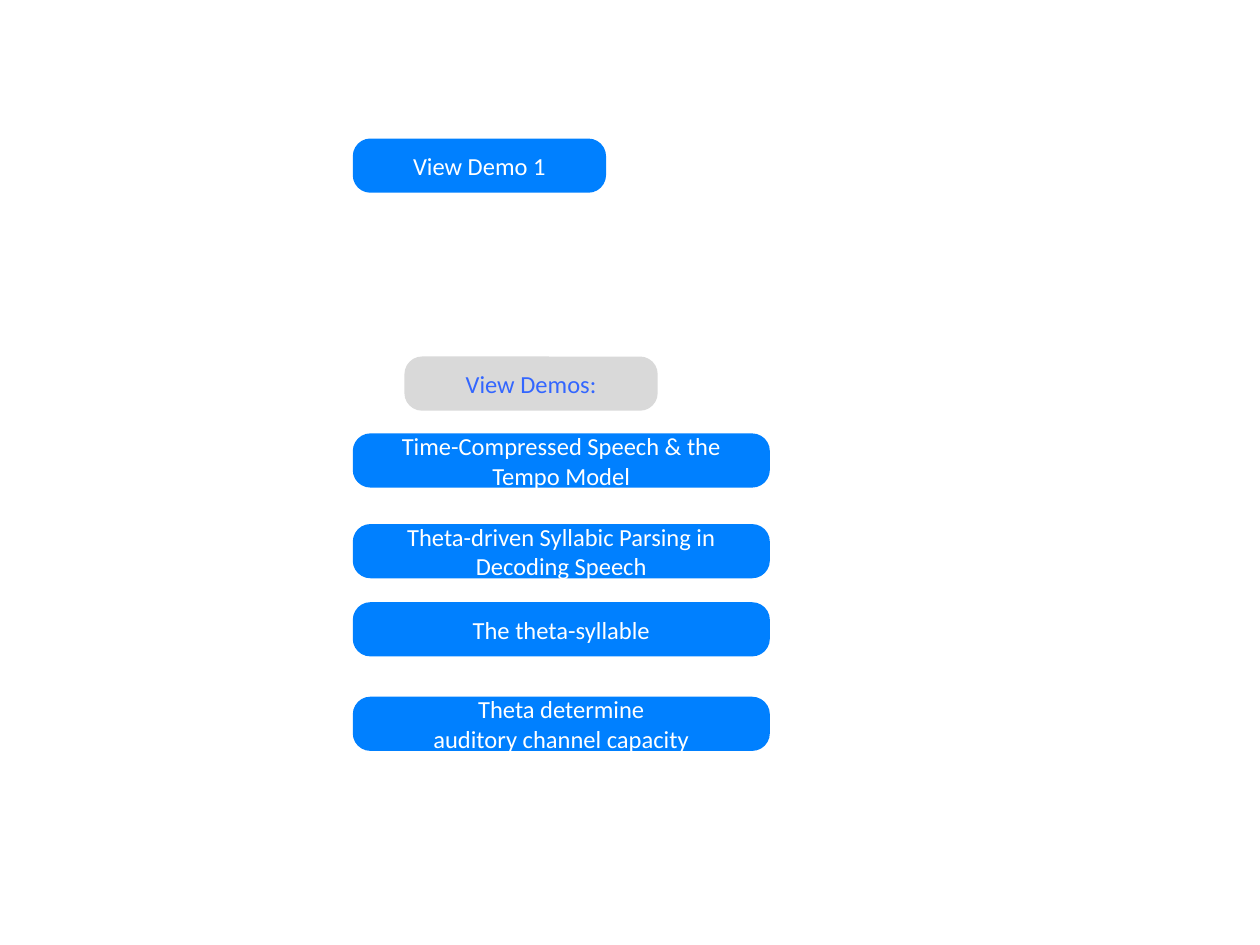
from dataclasses import dataclass

from pptx import Presentation
from pptx.dml.color import RGBColor
from pptx.enum.shapes import MSO_SHAPE
from pptx.enum.text import MSO_ANCHOR, PP_ALIGN
from pptx.slide import Slide
from pptx.util import Inches, Pt

ROUNDED = MSO_SHAPE.ROUNDED_RECTANGLE
MIDDLE = MSO_ANCHOR.MIDDLE
CENTER = PP_ALIGN.CENTER

BLUE = "0080FF"
GRAY = "D9D9D9"
LINK_BLUE = "3366FF"
WHITE = "FFFFFF"

BUTTON_LEFT = 2.8
BUTTON_HEIGHT = 0.43
SHORT_WIDTH = 2.01
LONG_WIDTH = 3.31
CORNER = 0.325
FONT_FORMAT = {"name": "Calibri", "size": Pt(14)}


@dataclass
class Button:
    lines: tuple[str, ...]
    top: float
    left: float = BUTTON_LEFT
    width: float = LONG_WIDTH
    fill: str = BLUE
    text_color: str = WHITE


BUTTONS = [
    Button(("View Demo 1",), 1.1, width=SHORT_WIDTH),
    Button(("View Demos:",), 2.83, 3.21, SHORT_WIDTH, GRAY, LINK_BLUE),
    Button(("Time-Compressed Speech & the Tempo Model",), 3.44),
    Button(("Theta-driven Syllabic Parsing in Decoding Speech",), 4.16),
    Button(("The theta-syllable",), 4.78),
    Button(("Theta determine", "auditory channel capacity"), 5.53),
]


def color(value: str) -> RGBColor:
    return RGBColor.from_string(value)


def add_button(slide: Slide, button: Button) -> None:
    shape = slide.shapes.add_shape(
        ROUNDED,
        Inches(button.left),
        Inches(button.top),
        Inches(button.width),
        Inches(BUTTON_HEIGHT),
    )
    shape.adjustments[0] = CORNER
    shape.shadow.inherit = False
    shape.fill.solid()
    shape.fill.fore_color.rgb = color(button.fill)
    shape.line.fill.background()

    text_frame = shape.text_frame
    text_frame.word_wrap = True
    text_frame.vertical_anchor = MIDDLE
    text_frame.text = "\n".join(button.lines)
    for paragraph in text_frame.paragraphs:
        paragraph.alignment = CENTER
        for run in paragraph.runs:
            for attribute, value in FONT_FORMAT.items():
                setattr(run.font, attribute, value)
            run.font.color.rgb = color(button.text_color)


def main() -> None:
    presentation = Presentation()
    presentation.slide_width = Inches(10)
    presentation.slide_height = Inches(7.5)
    slide = presentation.slides.add_slide(presentation.slide_layouts.get_by_name("Blank"))
    for button in BUTTONS:
        add_button(slide, button)
    presentation.save("out.pptx")


if __name__ == "__main__":
    main()
